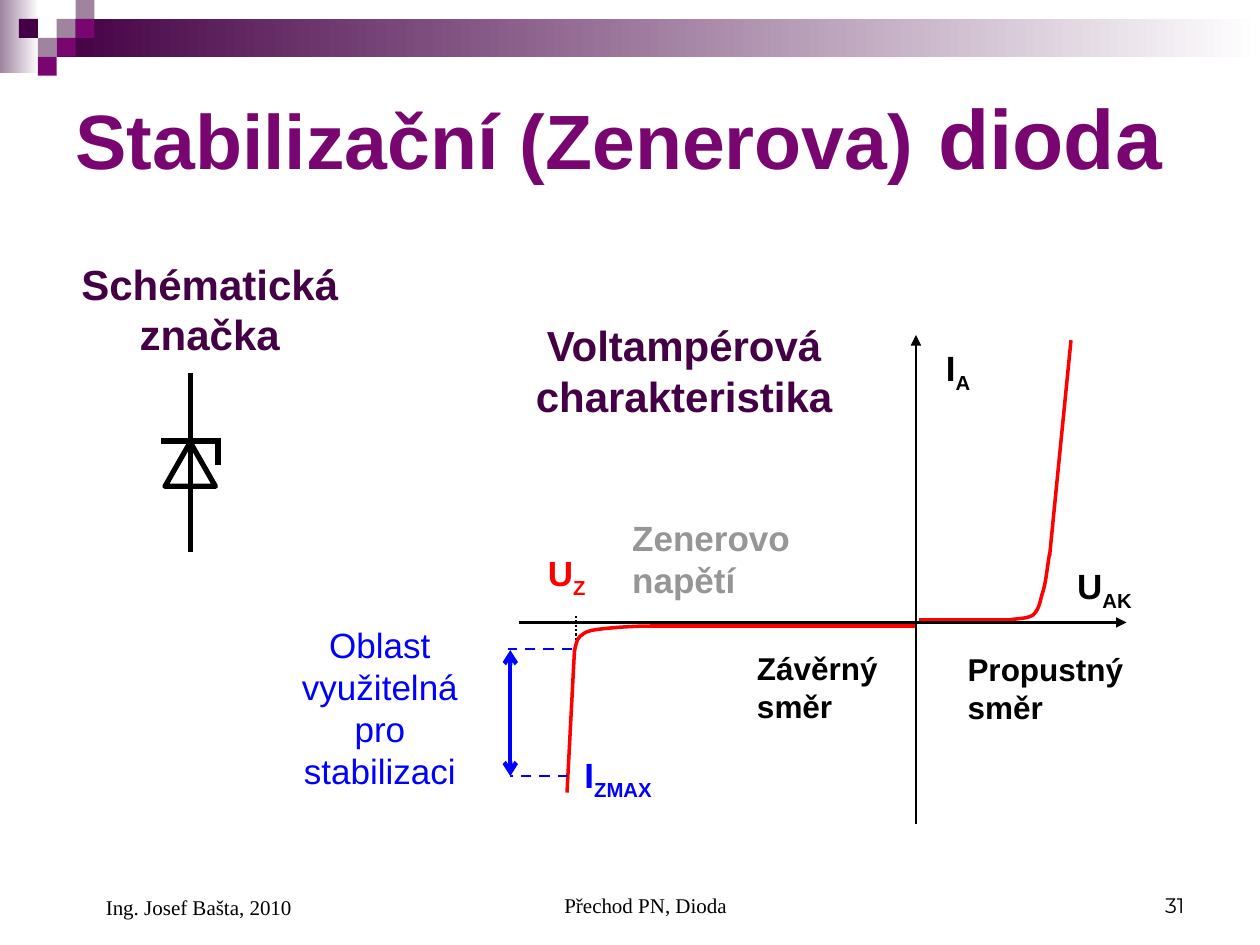
"""Build the slide about the Zener diode with its symbol and its characteristic."""
from lxml.etree import SubElement
from pptx import Presentation
from pptx.dml.color import RGBColor
from pptx.enum.dml import MSO_LINE as Dash
from pptx.enum.shapes import MSO_CONNECTOR as Link, MSO_SHAPE as Form
from pptx.enum.text import MSO_ANCHOR as Anchor, PP_ALIGN as Align
from pptx.oxml.ns import qn
from pptx.util import Pt

COLORS = {
    "white": "FFFFFF", "black": "000000", "plum": "440044", "purple": "790571",
    "mauve": "9F839F", "red": "FF0000", "blue": "0000FF", "gray": "969696",
}


def color(name):
    """Return the named colour."""
    return RGBColor.from_string(COLORS[name])


def curve_points(controls, steps=12):
    """Sample a chain of cubic curves that share their end points."""
    points = [controls[0]]
    for first in range(0, len(controls) - 1, 3):
        corners = controls[first:first + 4]
        for step in range(1, steps + 1):
            t = step / steps
            weights = ((1 - t) ** 3, 3 * t * (1 - t) ** 2, 3 * t * t * (1 - t), t ** 3)
            points.append(tuple(sum(w * corner[axis] for w, corner in zip(weights, corners))
                                for axis in (0, 1)))
    return points


class Sketch:
    """Hold the style and the current slide."""

    font = "Arial"
    inset = 7.2

    def __init__(self, page):
        """Start drawing on a page."""
        self.shapes = page.shapes

    def block(self, left, top, width, height, fill, fade=False):
        """Add a borderless rectangle, plain or fading to white at the right."""
        shape = self.shapes.add_shape(Form.RECTANGLE, *map(Pt, (left, top, width, height)))
        shape.shadow.inherit = False
        shape.line.fill.background()
        if fade:
            shape.fill.gradient()
            shape.fill.gradient_angle = 180
            for stop, name, place in zip(shape.fill.gradient_stops, ("white", fill), (0, 1)):
                stop.color.rgb = color(name)
                stop.position = place
        else:
            shape.fill.solid()
            shape.fill.fore_color.rgb = color(fill)

    def outline(self, shape, name, weight):
        """Give a shape a line and no fill."""
        shape.shadow.inherit = False
        shape.fill.background()
        shape.line.color.rgb = color(name)
        shape.line.width = Pt(weight)

    def triangle(self, left, top, width, height, name, weight):
        """Add a hollow triangle."""
        shape = self.shapes.add_shape(Form.ISOSCELES_TRIANGLE,
                                      *map(Pt, (left, top, width, height)))
        self.outline(shape, name, weight)

    def curve(self, controls, name, weight):
        """Add a smooth open curve."""
        start, *rest = [tuple(map(Pt, point)) for point in curve_points(controls)]
        builder = self.shapes.build_freeform(*start)
        builder.add_line_segments(rest, close=False)
        self.outline(builder.convert_to_shape(), name, weight)

    def line(self, start, end, name, weight, dash=None, **arrows):
        """Add a straight line with optional headEnd and tailEnd arrows."""
        link = self.shapes.add_connector(Link.STRAIGHT, *map(Pt, (*start, *end)))
        link.line.color.rgb = color(name)
        link.line.width = Pt(weight)
        if dash:
            link.line.dash_style = dash
        stroke = link.line._get_or_add_ln()
        for tag, kind in arrows.items():
            SubElement(stroke, qn(f"a:{tag}"), type=kind)
        SubElement(link._element.spPr, qn("a:effectLst"))

    def text(self, frame, words, size, name="black", bold=True, align=Align.LEFT,
             anchor=Anchor.TOP, font=font, indent=0, sub=None, large=None):
        """Add one paragraph, with an optional subscript or larger ending."""
        box = self.shapes.add_textbox(*map(Pt, frame)).text_frame
        box.word_wrap = True
        box.vertical_anchor = anchor
        box.margin_left = Pt(self.inset + indent)
        para = box.paragraphs[0]
        para.alignment = align
        para.font.name = font
        para.font.bold = bold
        para.font.color.rgb = color(name)
        span = para.add_run()
        span.text = words
        if large:
            span.font.size = Pt(size)
            ending = para.add_run()
            ending.text, ending.font.size = large[0], Pt(large[1])
        else:
            para.font.size = Pt(size)
        if sub:
            span = para.add_run()
            span.text = sub
            span._r.get_or_add_rPr().set("baseline", "-25000")


def draw_header(sketch):
    """Draw the fading bands, the small squares and the title."""
    side = 10.8
    sketch.block(0, 0, 22.3, 41.8, "mauve", fade=True)
    sketch.block(3 * side, side, 720 - 3 * side, 2 * side, "plum", fade=True)
    for column, row, fill in ((3, 1, "mauve"), (4, 0, "mauve"), (4, 1, "purple"),
                              (2, 2, "mauve"), (1, 1, "plum"), (3, 2, "purple"),
                              (2, 3, "purple")):
        sketch.block(column * side, row * side, side, side, fill)
    sketch.text((36, 36, 651.6, 83.5), "Stabilizační (Zenerova)", 44, "purple",
                anchor=Anchor.MIDDLE, large=(" dioda", 48))


def draw_characteristic(sketch):
    """Draw the axes, the curve and the stabilising range."""
    sketch.line((329, 352), (329, 366.5), "black", 1.25, Dash.ROUND_DOT)
    for start, end in (((612, 194.4), (599.8, 317.5)), ((524.9, 354.2), (577.4, 354.2)),
                       ((324, 452.9), (328.3, 371.5)), ((522.7, 357.8), (371.5, 357.8))):
        sketch.line(start, end, "red", 2)
    sketch.curve([(599.8, 316.1), (598.3, 324.7), (597.6, 334.1), (595.4, 339.8),
                  (594, 345.6), (593.3, 348.5), (590.4, 351.4),
                  (587.5, 353.5), (581.8, 353.5), (576.7, 354.2)], "red", 2)
    sketch.curve([(371.5, 357.8), (361.4, 357.8), (351.4, 358.6), (344.9, 359.3),
                  (338.4, 360), (334.8, 360.7), (332.6, 362.9),
                  (329.8, 364.3), (329, 368.6), (328.3, 372.2)], "red", 2)
    for start, end in (((296.6, 355.7), (643.7, 355.7)), ((523.4, 470.9), (523.4, 191.5))):
        sketch.line(start, end, "black", 1.5, tailEnd="triangle")
    sketch.line((326.9, 370.8), (290.2, 370.8), "blue", 1.5, Dash.DASH)
    sketch.line((324.7, 443.5), (291.6, 443.5), "blue", 1.5, Dash.DASH)
    sketch.line((291.6, 371.5), (291.6, 443.5), "blue", 2.5, headEnd="arrow", tailEnd="arrow")
    for frame, words, sub, name in (((306, 311.8, 45.4, 34.6), "U", "Z", "red"),
                                    ((608.4, 319, 57.6, 34.6), "U", "AK", "black"),
                                    ((533.5, 194.4, 36, 34.6), "I", "A", "black"),
                                    ((326.9, 427, 77, 34.6), "I", "ZMAX", "blue")):
        sketch.text(frame, words, 20, name, sub=sub)
    sketch.text((425.5, 367.2, 86.4, 50.4), "Závěrný směr", 18)
    sketch.text((545.8, 367.9, 105.8, 50.4), "Propustný směr", 18)
    sketch.text((160.6, 352.8, 113, 103.7), "Oblast využitelná pro stabilizaci", 20, "blue",
                bold=False, align=Align.CENTER)
    sketch.text((354.2, 291.6, 124.6, 55.4), "Zenerovo napětí", 20, "gray")
    sketch.text((280.8, 179.3, 220.3, 64.8), "Voltampérová charakteristika", 24, "plum",
                align=Align.CENTER)


def draw_symbol(sketch):
    """Draw the circuit symbol and its heading."""
    for start, end in (((108.7, 315.4), (108.7, 213.1)), ((126, 252), (92.2, 252)),
                       ((124.6, 265.7), (124.6, 251.3))):
        sketch.line(start, end, "black", 3)
    sketch.triangle(94.3, 252.7, 28.8, 25.2, "black", 3)
    sketch.text((38.2, 144, 163.4, 64.8), "Schématická značka", 24, "plum", align=Align.CENTER)


def draw_footer(sketch):
    """Write the author, the topic and the page number."""
    serif = "Times New Roman"
    for left, width, height, words, align, font, indent in (
            (36, 167.8, 37.4, "Ing. Josef Bašta, 2010", Align.LEFT, serif, 17.3),
            (246.2, 228.2, 36, "Přechod PN, Dioda", Align.CENTER, serif, 17.3),
            (516.2, 167.8, 36, "31", Align.RIGHT, "Montserrat", 0)):
        sketch.text((left, 491.8, width, height), words, 12, bold=False, align=align,
                    anchor=Anchor.BOTTOM, font=font, indent=indent)


def main():
    """Build and save the deck."""
    deck = Presentation()
    deck.slide_width, deck.slide_height = Pt(720), Pt(540)
    sketch = Sketch(deck.slides.add_slide(deck.slide_layouts[6]))
    for draw in (draw_header, draw_characteristic, draw_symbol, draw_footer):
        draw(sketch)
    deck.save("out.pptx")


if __name__ == "__main__":
    main()
